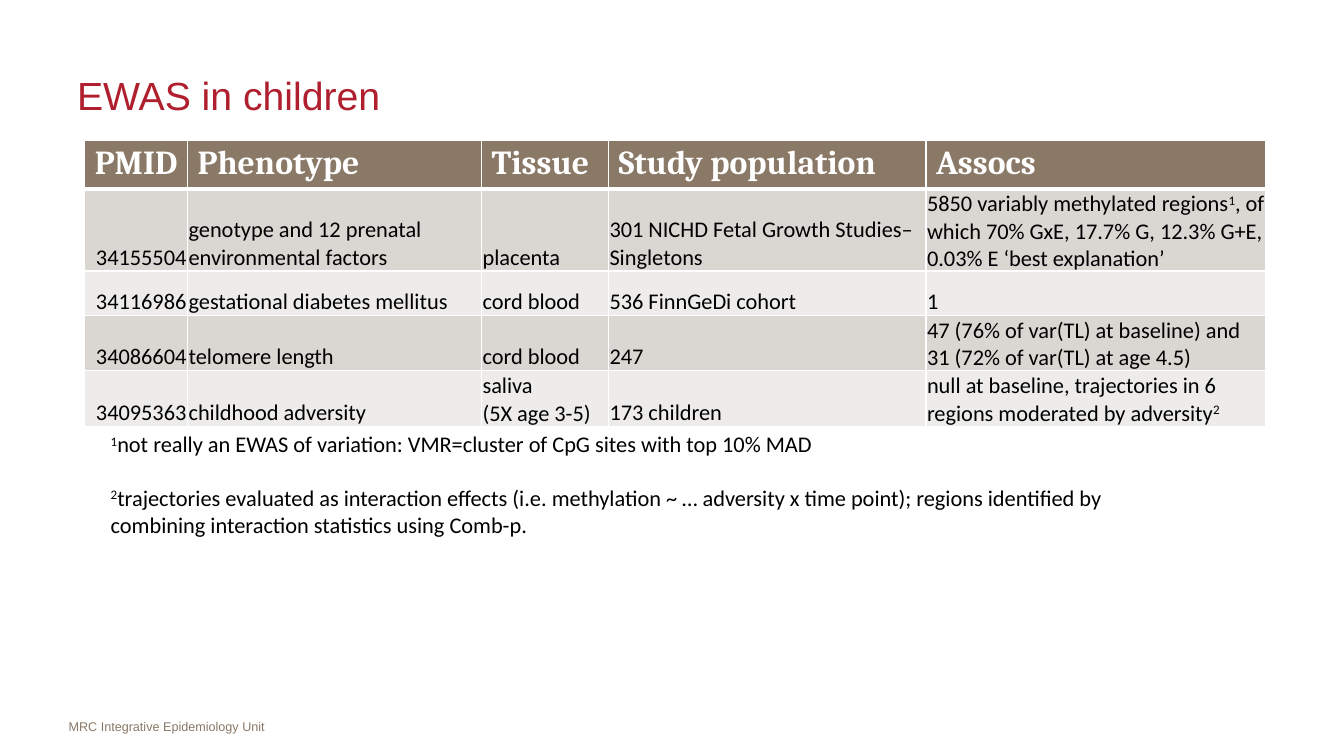
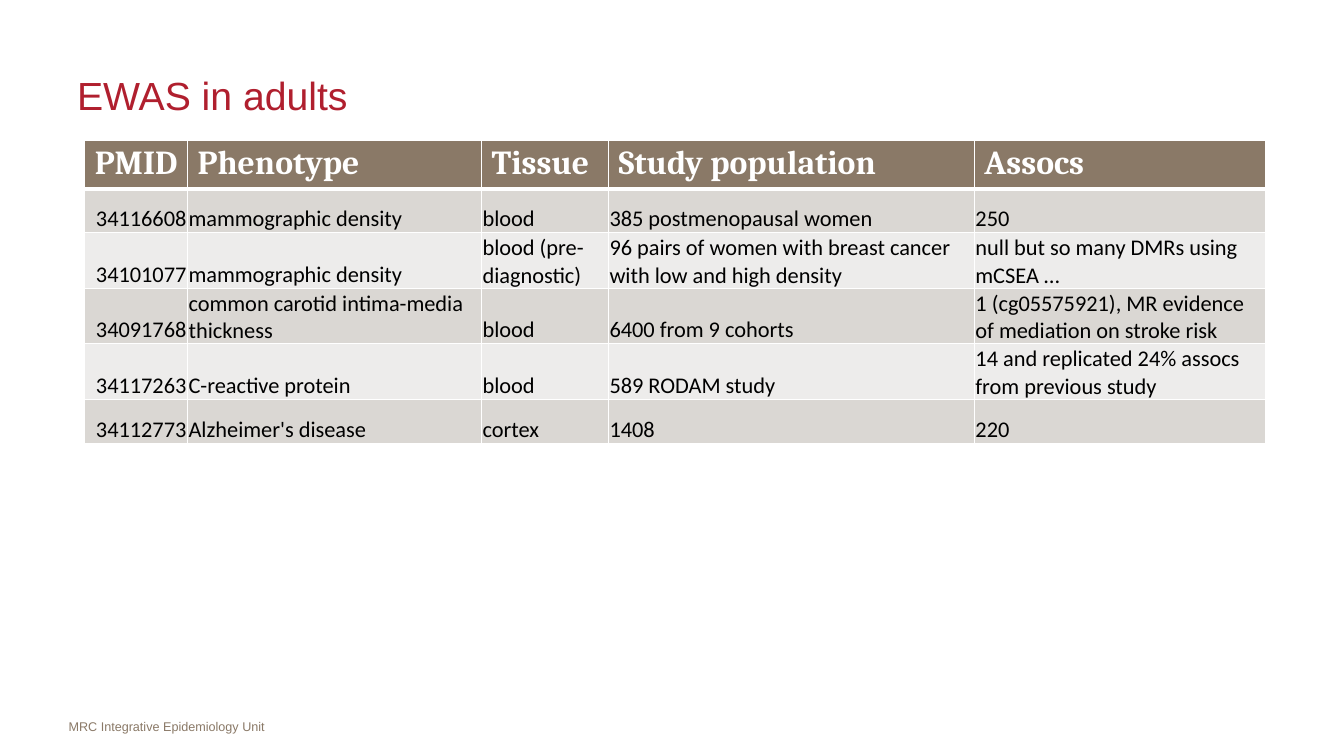
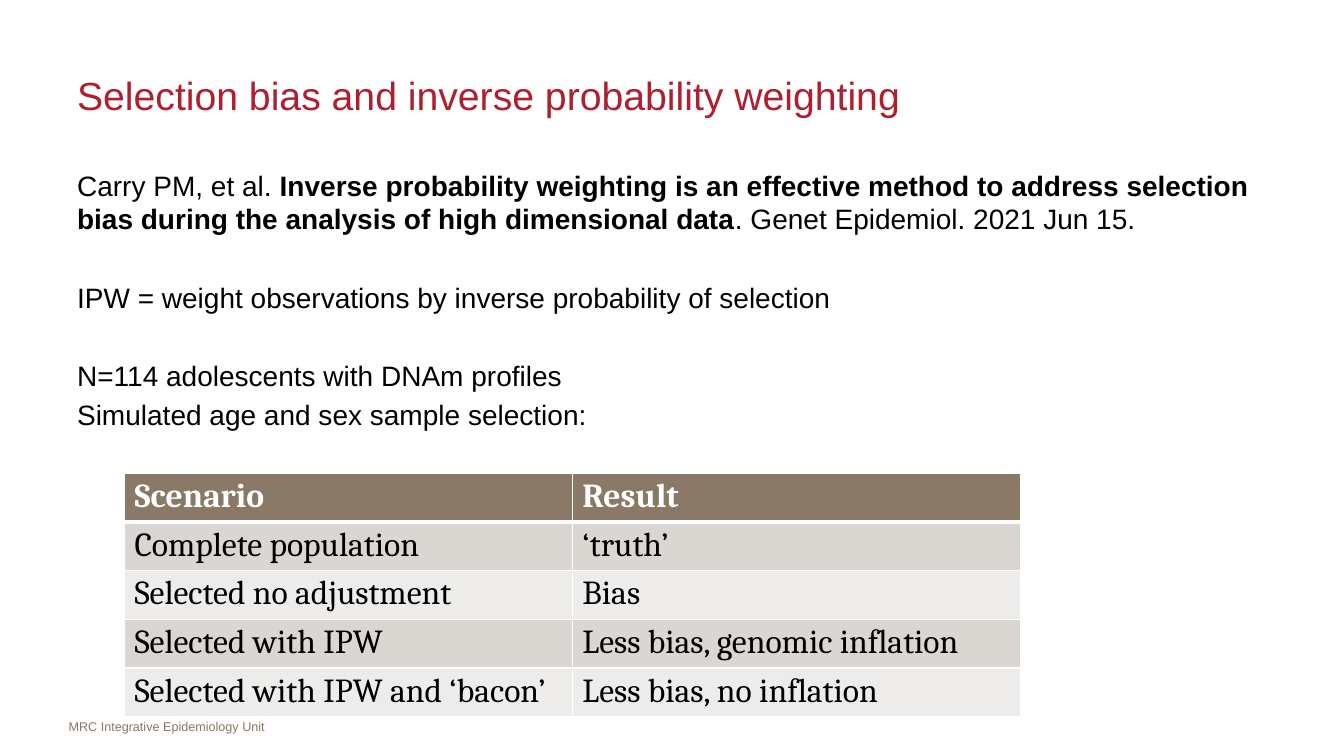
"""Build three slides on recent EWAS papers and inverse probability weighting."""
from lxml import etree
from pptx import Presentation
from pptx.dml.color import RGBColor
from pptx.enum.text import MSO_ANCHOR, PP_ALIGN
from pptx.oxml import parse_xml
from pptx.oxml.ns import nsdecls
from pptx.util import Pt

LEFT, RIGHT = PP_ALIGN.LEFT, PP_ALIGN.RIGHT
TOP, MIDDLE, BOTTOM = MSO_ANCHOR.TOP, MSO_ANCHOR.MIDDLE, MSO_ANCHOR.BOTTOM
RED, BROWN, BLACK, WHITE = "B01F2E", "8A7967", "000000", "FFFFFF"
BANDS = ["DAD7D3", "EDECEB"]
HEADINGS = ["PMID", "Phenotype", "Tissue", "Study population", "Assocs"]


def write(p, text, size=16, font="Calibri", color=BLACK, bold=False):
    """Add text to a paragraph; ^marks^ enclose superscripts, newlines break lines."""
    for i, part in enumerate(text.split("^")):
        for j, line in enumerate(part.split("\n")):
            if j:
                p.add_line_break()
            if line:
                r = p.add_run()
                r.text = line
                r.font.size, r.font.name, r.font.bold = Pt(size), font, bold
                r.font.color.rgb = RGBColor.from_string(color)
                if i % 2:
                    r.font._element.set("baseline", "30000")


def add_box(s, left, top, width, height, anchor=TOP):
    """Add a wrapping text box and return its text frame."""
    tf = s.shapes.add_textbox(Pt(left), Pt(top), Pt(width), Pt(height)).text_frame
    tf.word_wrap, tf.vertical_anchor = True, anchor
    return tf


children = [
    HEADINGS,
    ["34155504", "genotype and 12 prenatal environmental factors", "placenta",
     "301 NICHD Fetal Growth Studies–Singletons",
     "5850 variably methylated regions^1^, of which 70% GxE, 17.7% G, 12.3% G+E, "
     "0.03% E ‘best explanation’"],
    ["34116986", "gestational diabetes mellitus", "cord blood", "536 FinnGeDi cohort", "1"],
    ["34086604", "telomere length", "cord blood", "247",
     "47 (76% of var(TL) at baseline) and 31 (72% of var(TL) at age 4.5)"],
    ["34095363", "childhood adversity", "saliva\n(5X age 3-5)", "173 children",
     "null at baseline, trajectories in 6 regions moderated by adversity^2^"],
]
adults = [
    HEADINGS,
    ["34116608", "mammographic density", "blood", "385 postmenopausal women", "250"],
    ["34101077", "mammographic density", "blood (pre-diagnostic)",
     "96 pairs of women with breast cancer with low and high density",
     "null but so many DMRs using mCSEA …"],
    ["34091768", "common carotid intima-media thickness", "blood", "6400 from 9 cohorts",
     "1 (cg05575921), MR evidence of mediation on stroke risk"],
    ["34117263", "C-reactive protein", "blood", "589 RODAM study",
     "14 and replicated 24% assocs from previous study"],
    ["34112773", "Alzheimer's disease", "cortex", "1408", "220"],
]
scenarios = [
    ["Scenario", "Result"],
    ["Complete population", "‘truth’"],
    ["Selected no adjustment", "Bias"],
    ["Selected with IPW", "Less bias, genomic inflation"],
    ["Selected with IPW and ‘bacon’", "Less bias, no inflation"],
]
slides = [
    ("EWAS in children", children, 60.5, 100, [73.5, 210, 90.7, 226.8, 242.6], 31.5),
    ("EWAS in adults", adults, 60.5, 100, [73.5, 210, 90.7, 261.4, 208], 31.5),
    ("Selection bias and inverse probability weighting", scenarios, 88.9, 338,
     [320, 320], 29.3),
]

prs = Presentation()
prs.slide_width, prs.slide_height = Pt(960), Pt(540)

for title, rows, left, top, widths, row_height in slides:
    s = prs.slides.add_slide(prs.slide_layouts[6])
    tf = add_box(s, 49, 510, 232, 18)
    tf.margin_left = tf.margin_right = 0
    write(tf.paragraphs[0], "MRC Integrative Epidemiology Unit", 9, "Arial", BROWN)
    tf = add_box(s, 48, 36, 856, 64, MIDDLE)
    write(tf.paragraphs[0], title, 28, "Arial", RED)

    heights = [28] + [row_height] * (len(rows) - 1)
    table = s.shapes.add_table(len(rows), len(widths), Pt(left), Pt(top),
                               Pt(sum(widths)), Pt(sum(heights))).table
    for column, width in zip(table.columns, widths):
        column.width = Pt(width)
    for i, row in enumerate(rows):
        table.rows[i].height = Pt(heights[i])
        for j, text in enumerate(row):
            cell = table.cell(i, j)
            p = cell.text_frame.paragraphs[0]
            p.alignment = LEFT
            if i == 0 or rows is scenarios:
                write(p, text, 24, "Cambria", BLACK if i else WHITE, i == 0)
                cell.margin_top = cell.margin_bottom = Pt(3)
            else:
                write(p, text)
                p.alignment = RIGHT if j == 0 else LEFT
                cell.vertical_anchor = BOTTOM
                cell.margin_left = cell.margin_right = Pt(0.75)
                cell.margin_top, cell.margin_bottom = Pt(1.25), 0
            tcPr = cell._tc.get_or_add_tcPr()
            for side in "LRTB":
                thick = (i, side) in [(0, "B"), (1, "T")]
                line = parse_xml(f'<a:ln{side} {nsdecls("a")} w="{Pt(3 if thick else 1)}"/>')
                fill = etree.SubElement(line, line.tag.replace(f"ln{side}", "solidFill"))
                etree.SubElement(fill, fill.tag.replace("solidFill", "srgbClr"), val=WHITE)
                tcPr.append(line)
            cell.fill.solid()
            cell.fill.fore_color.rgb = RGBColor.from_string(BANDS[(i - 1) % 2] if i else BROWN)

tf = add_box(prs.slides[0], 72, 304, 760, 78)
write(tf.paragraphs[0],
      "^1^not really an EWAS of variation: VMR=cluster of CpG sites with top 10% MAD")
p = tf.add_paragraph()
p.space_before = Pt(19)
write(p, "^2^trajectories evaluated as interaction effects (i.e. methylation ~ … adversity x "
         "time point); regions identified by combining interaction statistics using Comb-p.")

tf = add_box(prs.slides[2], 48, 116.6, 856, 392)
p = tf.paragraphs[0]
write(p, "Carry PM, et al. ", 20, "Arial")
write(p, "Inverse probability weighting is an effective method to address selection bias "
         "during the analysis of high dimensional data", 20, "Arial", bold=True)
write(p, ". Genet Epidemiol. 2021 Jun 15.", 20, "Arial")
for text, gap in [
    ("IPW = weight observations by inverse probability of selection", 32),
    ("N=114 adolescents with DNAm profiles", 32),
    ("Simulated age and sex sample selection:", 4),
]:
    p = tf.add_paragraph()
    p.space_before = Pt(gap)
    write(p, text, 20, "Arial")

prs.save("out.pptx")
